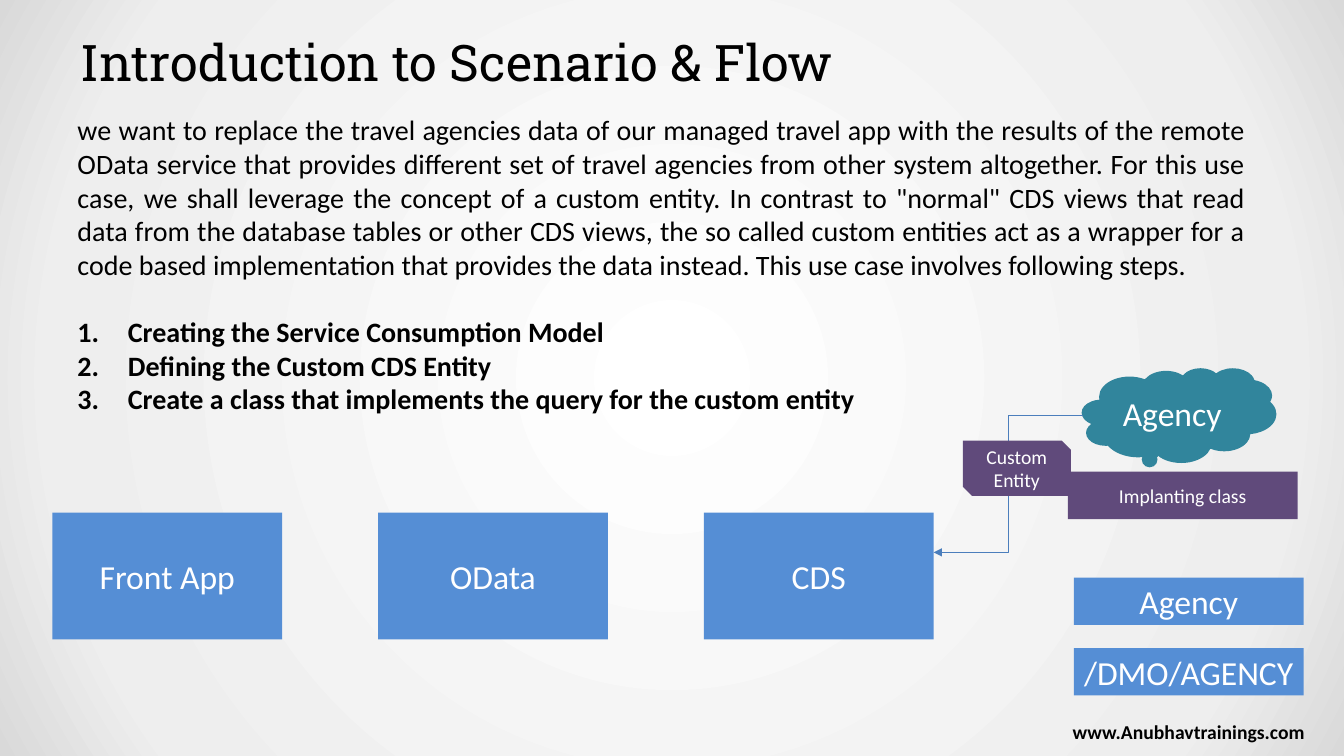
from dataclasses import dataclass
from pptx import Presentation, util as u
from pptx.dml.color import RGBColor
from pptx.enum import shapes, text
from pptx.oxml import parse_xml
from pptx.oxml.ns import nsdecls, qn

WIDE, HIGH = u.Inches(13.33), u.Inches(7.5)
KIND = shapes.MSO_SHAPE
MID = text.MSO_ANCHOR.MIDDLE
CENTER, LEFT, FULL = text.PP_ALIGN.CENTER, text.PP_ALIGN.LEFT, text.PP_ALIGN.JUSTIFY


@dataclass(frozen=True)
class Theme:
    ink: str = "000000"
    pale: str = "FFFFFF"
    blue: str = "558ED5"
    teal: str = "31859C"
    plum: str = "604A7B"
    wire: str = "4B7EBC"
    glow: tuple = ((0, "FFFFFF"), (81, "EEEEEE"), (100, "D9D9D9"))
    serif: str = "Roboto Slab"
    sans: str = "Calibri"
    head: int = 36
    card: int = 24
    body: int = 20
    note: int = 14


T = Theme()

INTRO = (
    "we want to replace the travel agencies data of our managed travel app with the "
    "results of the remote OData service that provides different set of travel agencies "
    "from other system altogether. For this use case, we shall leverage the concept of a "
    'custom entity. In contrast to "normal" CDS views that read data from the database '
    "tables or other CDS views, the so called custom entities act as a wrapper for a code "
    "based implementation that provides the data instead. This use case involves "
    "following steps."
)
STEPS = (
    "Creating the Service Consumption Model",
    "Defining the Custom CDS Entity",
    "Create a class that implements the query for the custom entity",
)


def part(box, x, y, w=0, h=0):
    left, top, wide, high = box
    return (round(left + wide * x / 100), round(top + high * y / 100),
            round(wide * w / 100), round(high * h / 100))


def style(para, size, color, align, face=T.sans, bold=False):
    para.alignment = align
    for run in para.runs:
        run.font.name, run.font.size, run.font.bold = face, u.Pt(size), bold
        run.font.color.rgb = RGBColor.from_string(color)


def label(slide, box, words, size, align, face=T.sans, bold=False):
    frame = slide.shapes.add_textbox(*box).text_frame
    frame.word_wrap, frame.vertical_anchor = True, MID
    frame.margin_left = frame.margin_right = u.Inches(0.13)
    frame.margin_top = frame.margin_bottom = u.Inches(0.07)
    frame.text = words
    style(frame.paragraphs[0], size, T.ink, align, face, bold)


def card(slide, box, words, fill=T.blue, size=T.card, kind=KIND.RECTANGLE):
    shape = slide.shapes.add_shape(kind, *box)
    shape.shadow.inherit = False
    shape.fill.solid()
    shape.fill.fore_color.rgb = RGBColor.from_string(fill)
    shape.line.fill.background()
    frame = shape.text_frame
    frame.word_wrap, frame.vertical_anchor = True, MID
    frame.margin_left = frame.margin_right = u.Inches(0.07)
    frame.text = words
    style(frame.paragraphs[0], size, T.pale, CENTER)
    return shape


def ground(slide):
    slide.background.fill.gradient()
    old = slide.element.find(".//" + qn("a:gradFill"))
    stops = "".join(
        f'<a:gs pos="{pos * 1000}"><a:srgbClr val="{color}"/></a:gs>'
        for pos, color in T.glow)
    new = parse_xml(
        f'<a:gradFill {nsdecls("a")} rotWithShape="1"><a:gsLst>{stops}</a:gsLst>'
        '<a:path path="circle"><a:fillToRect l="50000" t="50000" r="50000" b="50000"/>'
        '</a:path></a:gradFill>')
    old.getparent().replace(old, new)


def story(slide, box):
    frame = slide.shapes.add_textbox(*box).text_frame
    frame.word_wrap = True
    frame.text = INTRO
    style(frame.paragraphs[0], T.body, T.ink, FULL)
    for i, step in enumerate(STEPS):
        para = frame.add_paragraph()
        para.text = step
        props = para._p.get_or_add_pPr()
        props.set("marL", str(u.Inches(0.5)))
        props.set("indent", str(-u.Inches(0.5)))
        props.append(parse_xml(f'<a:buAutoNum {nsdecls("a")} type="arabicPeriod"/>'))
        if i == 0:
            para.space_before = u.Pt(24)
        style(para, T.body, T.ink, FULL, bold=True)


def flow(slide, box):
    for i, name in enumerate(("Front App", "OData", "CDS")):
        card(slide, part(box, i * 36.96, 0, 26.08, 100), name)


def store(slide, box):
    for i, name in enumerate(("Agency", "/DMO/AGENCY")):
        card(slide, part(box, 0, i * 59.83, 100, 40.17), name)


def remote(slide, box):
    cloud = card(slide, part(box, 40.05, 0, 52.59, 51.37), "Agency", T.teal,
                 kind=KIND.CLOUD_CALLOUT)
    cloud.adjustments[0], cloud.adjustments[1] = -0.13, 0.4
    start, end = part(box, 40.33, 25.68)[:2], part(box, 0, 100)[:2]
    link = slide.shapes.add_connector(shapes.MSO_CONNECTOR.ELBOW, *start, *end)
    link.line.color.rgb = RGBColor.from_string(T.wire)
    link.line.width = u.Pt(0.75)
    link.line._get_or_add_ln().append(
        parse_xml(f'<a:tailEnd {nsdecls("a")} type="triangle"/>'))
    link._element.spPr.append(parse_xml(f'<a:effectLst {nsdecls("a")}/>'))
    card(slide, part(box, 7.9, 39.34, 29.16, 30.05), "Custom Entity", T.plum, T.note,
         KIND.SNIP_2_DIAG_RECTANGLE)
    card(slide, part(box, 36.24, 56.28, 62.13, 25.68), "Implanting class", T.plum, T.note)


def main():
    deck = Presentation()
    deck.slide_width, deck.slide_height = WIDE, HIGH
    slide = deck.slides.add_slide(deck.slide_layouts[6])
    page = (0, 0, WIDE, HIGH)
    ground(slide)
    label(slide, part(page, 5.03, 2.93, 90.02, 10.4), "Introduction to Scenario & Flow",
          T.head, LEFT, T.serif)
    label(slide, part(page, 77.2, 94.13, 22.5, 5.2), "www.Anubhavtrainings.com",
          T.note, CENTER, bold=True)
    story(slide, part(page, 5.03, 14.27, 88.37, 47.07))
    flow(slide, part(page, 3.9, 67.8, 65.57, 16.8))
    store(slide, part(page, 79.9, 76.4, 17.1, 15.6))
    remote(slide, part(page, 69.47, 48.67, 27.53, 24.4))
    deck.save("out.pptx")


if __name__ == "__main__":
    main()
